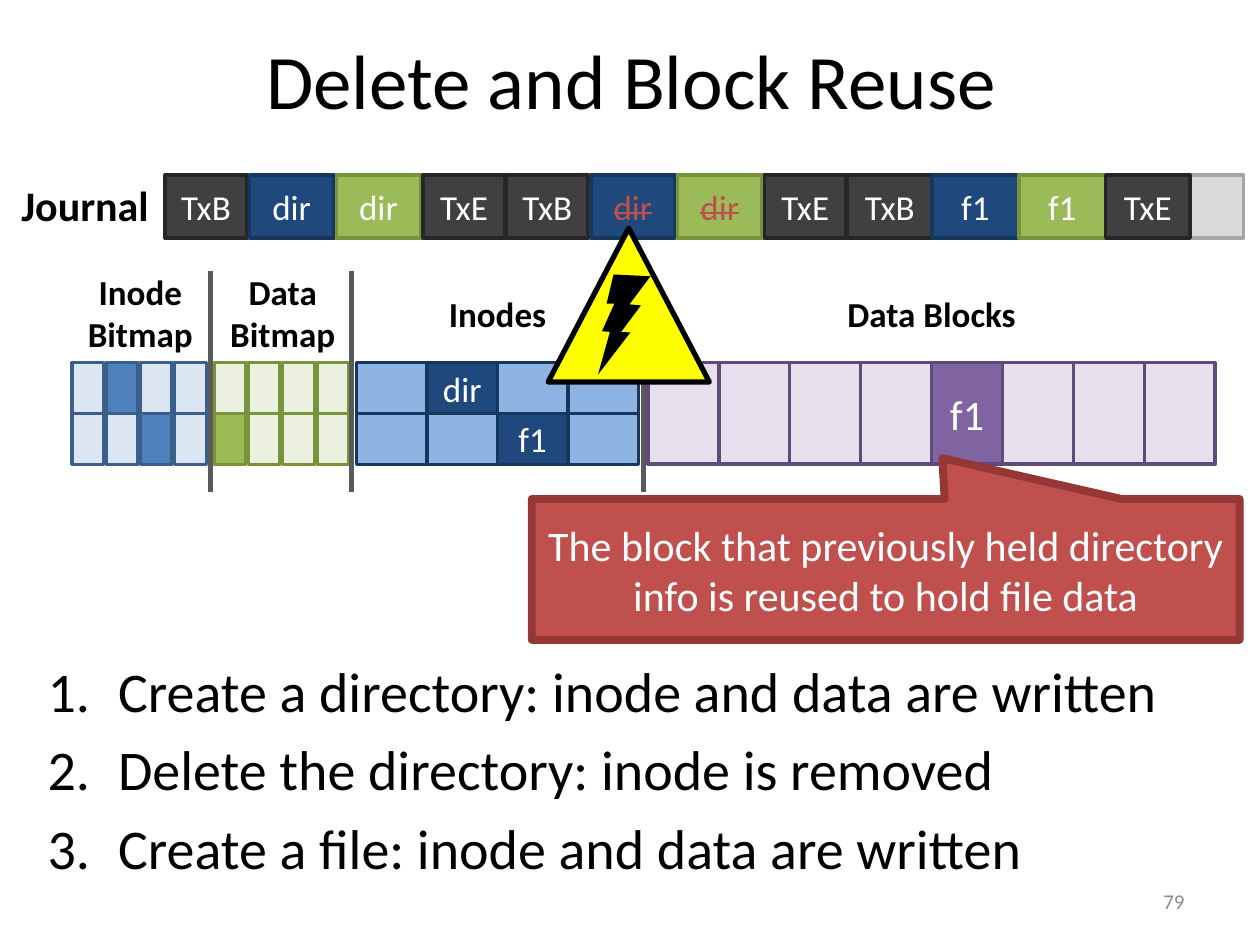
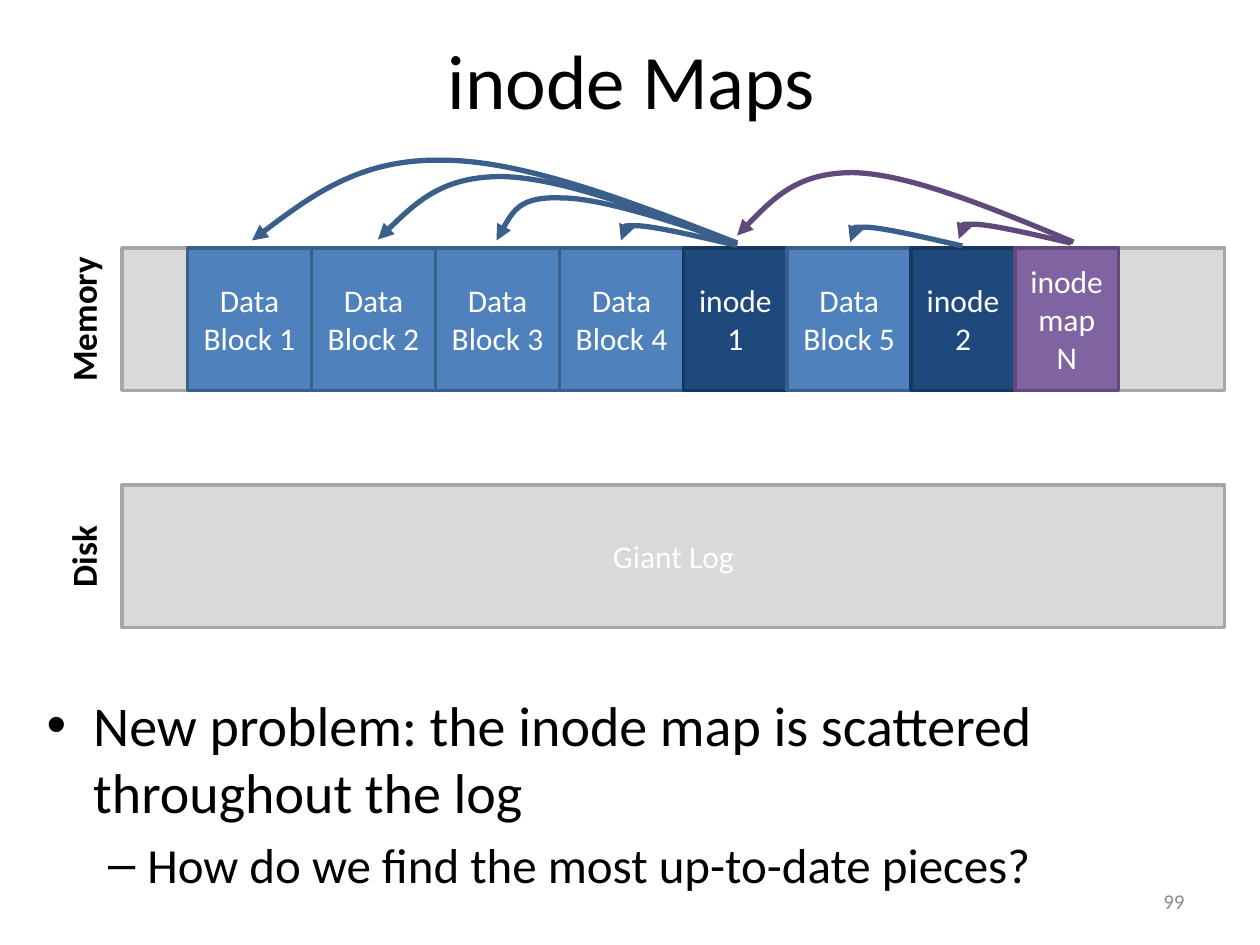
"""Build two slides on journaling block reuse and inode maps."""
import dataclasses
import itertools

import lxml.etree as etree
import pptx
import pptx.dml.color
import pptx.enum.shapes
import pptx.enum.text
import pptx.oxml.ns
import pptx.util

Cm = pptx.util.Cm
Pt = pptx.util.Pt
qn = pptx.oxml.ns.qn
Kind = pptx.enum.shapes.MSO_SHAPE
Align = pptx.enum.text.PP_ALIGN
Anchor = pptx.enum.text.MSO_ANCHOR

FACE = "Calibri"
BLACK, WHITE, RED = "000000", "FFFFFF", "C0504D"


@dataclasses.dataclass(frozen=True)
class Paint:
    """Fill, edge and edge width of a shape."""
    fill: str
    edge: str
    width: float = 2


@dataclasses.dataclass(frozen=True)
class Type:
    """Look of the text in one box."""
    size: float = 20
    color: str = WHITE
    bold: bool = False
    strike: bool = False
    align: int = Align.CENTER


@dataclasses.dataclass(frozen=True)
class Box:
    """Place and size in centimetres."""
    left: float
    top: float
    width: float
    height: float

    def place(self) -> tuple:
        """Return the four lengths."""
        return Cm(self.left), Cm(self.top), Cm(self.width), Cm(self.height)


@dataclasses.dataclass(frozen=True)
class Grid:
    """Cells of one disk region; marks map (row, column) to a text."""
    label: str
    left: float
    rows: int
    cols: int
    step: float
    width: float
    plain: Paint
    used: Paint
    marks: dict
    size: float = 20


@dataclasses.dataclass(frozen=True)
class Item:
    """One list entry with its bullet and hanging indent."""
    text: str
    mark: str
    left: float
    hang: float
    size: float = 32
    space: float = 6.4
    level: int = 0


GREY = Paint("D9D9D9", "A6A6A6")
DARK = Paint("404040", "262626")
NAVY = Paint("1F497D", "17375E")
BLUE = Paint("4F81BD", "3A5F8B")
GREEN = Paint("9BBB59", "77933C")
PURPLE = Paint("8064A2", "604A7B")
HEAD = Type(44, BLACK)
BOLD = Type(20, BLACK, bold=True)
SMALL = Type(18)

GRIDS = (
    Grid("Inode\nBitmap", 1.45, 2, 4, 0.69, 0.64, Paint("DCE6F2", BLUE.edge),
         BLUE, {(0, 1): "", (1, 2): ""}),
    Grid("Data\nBitmap", 4.32, 2, 4, 0.69, 0.64, Paint("EBF1DE", GREEN.edge),
         GREEN, {(1, 0): ""}),
    Grid("Inodes", 7.19, 2, 4, 1.42, 1.42, Paint("8EB4E3", NAVY.edge),
         NAVY, {(0, 1): "dir", (1, 2): "f1"}),
    Grid("Data Blocks", 13.06, 1, 8, 1.43, 1.43, Paint("E6E0EC", PURPLE.edge),
         PURPLE, {(0, 4): "f1"}, 24),
)
STEPS = (
    Item("Create a directory: inode and data are written", "1", 1.42, 1.42),
    Item("Delete the directory: inode is removed", "1", 1.42, 1.42),
    Item("Create a file: inode and data are written", "1", 1.42, 1.42),
)
POINTS = (
    Item("New problem: the inode map is scattered throughout the log",
         "•", 0.97, 0.94),
    Item("How do we find the most up-to-date pieces?",
         "–", 2.06, 0.79, 28, 5.6, 1),
)
BLOCKS = tuple((f"Data\u0020Block {n}", 2.5, BLUE) for n in range(1, 5)) + (
    ("inode\n1", 2.09, NAVY), ("Data Block 5", 2.5, BLUE),
    ("inode\n2", 2.09, NAVY), ("inode\nmap\nN", 2.09, PURPLE))
SHORT = ((14.78, 4.93), (14, 4.75), (13.23, 4.57), (12.85, 4.55),
         (12.47, 4.55), (12.5, 4.7), (12.52, 4.85))
LONG = (
    ((14.86, 4.9), (12.7, 4.06), (10.54, 3.23), (8.92, 3.23),
     (7.29, 3.2), (6.17, 4.01), (5.08, 4.85)),
    ((14.86, 4.95), (13.11, 4.27), (11.33, 3.58), (10.11, 3.56),
     (8.92, 3.56), (8.26, 4.19), (7.62, 4.83)),
    ((14.86, 4.9), (13.49, 4.45), (12.12, 3.99), (11.3, 3.99),
     (10.49, 3.96), (10.24, 4.39), (10.01, 4.85)),
)
MAPPED = ((21.64, 4.88), (19.99, 4.19), (18.34, 3.51), (17.2, 3.48),
          (16.08, 3.48), (15.47, 4.11), (14.86, 4.75))


def tint(code: str):
    """Turn a hex string into a colour."""
    return pptx.dml.color.RGBColor.from_string(code)


def style(para, look: Type) -> None:
    """Set alignment and font of a paragraph."""
    para.alignment = look.align
    font = para.font
    font.name, font.size, font.bold = FACE, Pt(look.size), look.bold
    font.color.rgb = tint(look.color)
    if look.strike:
        font._element.set("strike", "sngStrike")


def write(shape, text: str, look: Type, anchor=Anchor.MIDDLE) -> None:
    """Fill a shape with one paragraph per line."""
    frame = shape.text_frame
    frame.word_wrap = True
    frame.vertical_anchor = anchor
    frame.text = text
    for para in frame.paragraphs:
        style(para, look)


def label(slide, box: Box, text: str, look: Type):
    """Add a text box."""
    shape = slide.shapes.add_textbox(*box.place())
    write(shape, text, look)
    return shape


def block(slide, box: Box, paint: Paint, text: str = "",
          look: Type = Type(), kind=Kind.RECTANGLE):
    """Add a painted shape with optional text."""
    shape = slide.shapes.add_shape(kind, *box.place())
    shape.shadow.inherit = False
    shape.fill.solid()
    shape.fill.fore_color.rgb = tint(paint.fill)
    if paint.width:
        shape.line.color.rgb = tint(paint.edge)
        shape.line.width = Pt(paint.width)
    else:
        shape.line.fill.background()
    if text:
        write(shape, text, look)
    return shape


def divide(slide, left: float) -> None:
    """Draw an upright line between two regions."""
    line = slide.shapes.add_connector(
        pptx.enum.shapes.MSO_CONNECTOR.STRAIGHT,
        Cm(left), Cm(5.46), Cm(left), Cm(9.91))
    line.line.color.rgb = tint("595959")
    line.line.width = Pt(3)
    etree.SubElement(line._element.spPr, qn("a:effectLst"))


def curve(slide, points: tuple, color: str) -> None:
    """Draw a two-part Bezier arrow through its control points."""
    spots = [(Cm(x), Cm(y)) for x, y in points]
    maker = slide.shapes.build_freeform(*spots[0])
    maker.add_line_segments(spots[1:], close=False)
    shape = maker.convert_to_shape()
    shape.shadow.inherit = False
    shape.fill.background()
    shape.line.color.rgb = tint(color)
    shape.line.width = Pt(3)
    etree.SubElement(shape.line._get_or_add_ln(), qn("a:tailEnd"),
                     type="triangle")
    route = next(shape._element.iter(qn("a:path")))
    parts = route.findall(qn("a:lnTo"))
    for start in (0, 3):
        bend = etree.SubElement(route, qn("a:cubicBezTo"))
        for part in parts[start:start + 3]:
            bend.append(part[0])
            route.remove(part)


def shift(points: tuple, right: float, down: float) -> tuple:
    """Move points by a fixed offset."""
    return tuple((x + right, y + down) for x, y in points)


def outline(slide, box: Box, items: tuple) -> None:
    """Add a list with hanging bullets or numbers."""
    shape = slide.shapes.add_textbox(*box.place())
    write(shape, "\n".join(item.text for item in items),
          Type(), Anchor.TOP)
    for index, (para, item) in enumerate(
            zip(shape.text_frame.paragraphs, items)):
        para.level = item.level
        if index:
            para.space_before = Pt(item.space)
        props = para._p.get_or_add_pPr()
        props.set("marL", str(Cm(item.left)))
        props.set("indent", str(-Cm(item.hang)))
        props.remove(props.find(qn("a:defRPr")))
        if item.mark.isdigit():
            etree.SubElement(props, qn("a:buAutoNum"), type="arabicPeriod")
        else:
            etree.SubElement(props, qn("a:buFont"), typeface="Arial")
            etree.SubElement(props, qn("a:buChar"), char=item.mark)
        style(para, Type(item.size, BLACK, align=Align.LEFT))


def begin(deck, title: str, page: str):
    """Add a blank slide with title and page number."""
    slide = deck.slides.add_slide(deck.slide_layouts[6])
    label(slide, Box(1.3, 0, 22.86, 3.18), title, HEAD)
    label(slide, Box(18.21, 17.65, 5.92, 1.02), page,
          Type(12, "8B8B8B", align=Align.RIGHT))
    return slide


def log(slide) -> None:
    """Draw the journal with its three transactions."""
    block(slide, Box(3.33, 3.53, 21.74, 1.27), GREY)
    label(slide, Box(0, 3.5, 3.25, 1.27), "Journal",
          Type(24, BLACK, bold=True, align=Align.RIGHT))
    gone = Type(color=RED, strike=True)
    groups = (("dir", Type(), 0.05), ("dir", gone, 0.05), ("f1", Type(), 0))
    for index, (name, look, gap) in enumerate(groups):
        left = 3.33 + 6.88 * index
        cells = (("TxB", 1.7, DARK, Type()), (name, 1.75, NAVY, look),
                 (name, 1.75, GREEN, look), ("TxE", 1.7, DARK, Type()))
        for text, step, paint, font in cells:
            block(slide, Box(left, 3.53, step - gap, 1.27), paint, text, font)
            left += step


def region(slide, grid: Grid) -> None:
    """Draw a grid, its used cells on top, and its label."""
    tall = 2.05 / grid.rows
    cells = itertools.product(range(grid.rows), range(grid.cols))
    for cell in sorted(cells, key=lambda spot: spot in grid.marks):
        row, col = cell
        box = Box(grid.left + col * grid.step, 7.31 + row * tall,
                  grid.width, tall)
        paint = grid.used if cell in grid.marks else grid.plain
        block(slide, box, paint, grid.marks.get(cell, ""), Type(grid.size))
    middle = grid.left + grid.cols * grid.step / 2
    label(slide, Box(middle - 2, 5.33, 4, 1.96), grid.label, BOLD)


def reuse(deck) -> None:
    """Build the block reuse slide."""
    slide = begin(deck, "Delete and Block Reuse", "79")
    outline(slide, Box(0.71, 13.11, 24.1, 5.54), STEPS)
    log(slide)
    for grid in GRIDS:
        region(slide, grid)
    for left in (4.24, 7.09, 12.97):
        divide(slide, left)
    block(slide, Box(11.05, 4.6, 3.25, 3.1), Paint("FFFF00", BLACK, 3),
          kind=Kind.ISOSCELES_TRIANGLE)
    bolt = block(slide, Box(11.66, 5.54, 1.73, 1.75), Paint(BLACK, BLACK, 0),
                 kind=Kind.LIGHTNING_BOLT)
    bolt.rotation = 337.8
    bolt._element.spPr.find(qn("a:xfrm")).set("flipH", "1")
    note = block(slide, Box(10.72, 10.06, 14.27, 2.84),
                 Paint(RED, "953735", 4.5),
                 "The block that previously held directory info is reused "
                 "to hold file data", Type(24), Kind.RECTANGULAR_CALLOUT)
    note.adjustments[0], note.adjustments[1] = 0.08, -0.79


def maps(deck) -> None:
    """Build the inode map slide."""
    slide = begin(deck, "inode Maps", "99")
    for name, top, text in (("Memory", 5, ""), ("Disk", 9.78, "Giant Log")):
        block(slide, Box(2.46, top, 22.23, 2.87), GREY, text, SMALL)
        side = label(slide, Box(0.02, top + 0.89, 3.3, 1.09), name, BOLD)
        side.rotation = 270
    left = 3.78
    for text, width, paint in BLOCKS:
        block(slide, Box(left, 5, width, 2.87), paint, text, SMALL)
        left += width
    for points in LONG + (SHORT, shift(SHORT, 4.62, 0.03)):
        curve(slide, points, BLUE.edge)
    for points in (shift(SHORT, 6.81, -0.03), MAPPED):
        curve(slide, points, PURPLE.edge)
    outline(slide, Box(0.66, 13.79, 24.1, 5), POINTS)


def main() -> None:
    """Build and save the deck."""
    deck = pptx.Presentation()
    deck.slide_width, deck.slide_height = Cm(25.4), Cm(19.05)
    reuse(deck)
    maps(deck)
    deck.save("out.pptx")


if __name__ == "__main__":
    main()
